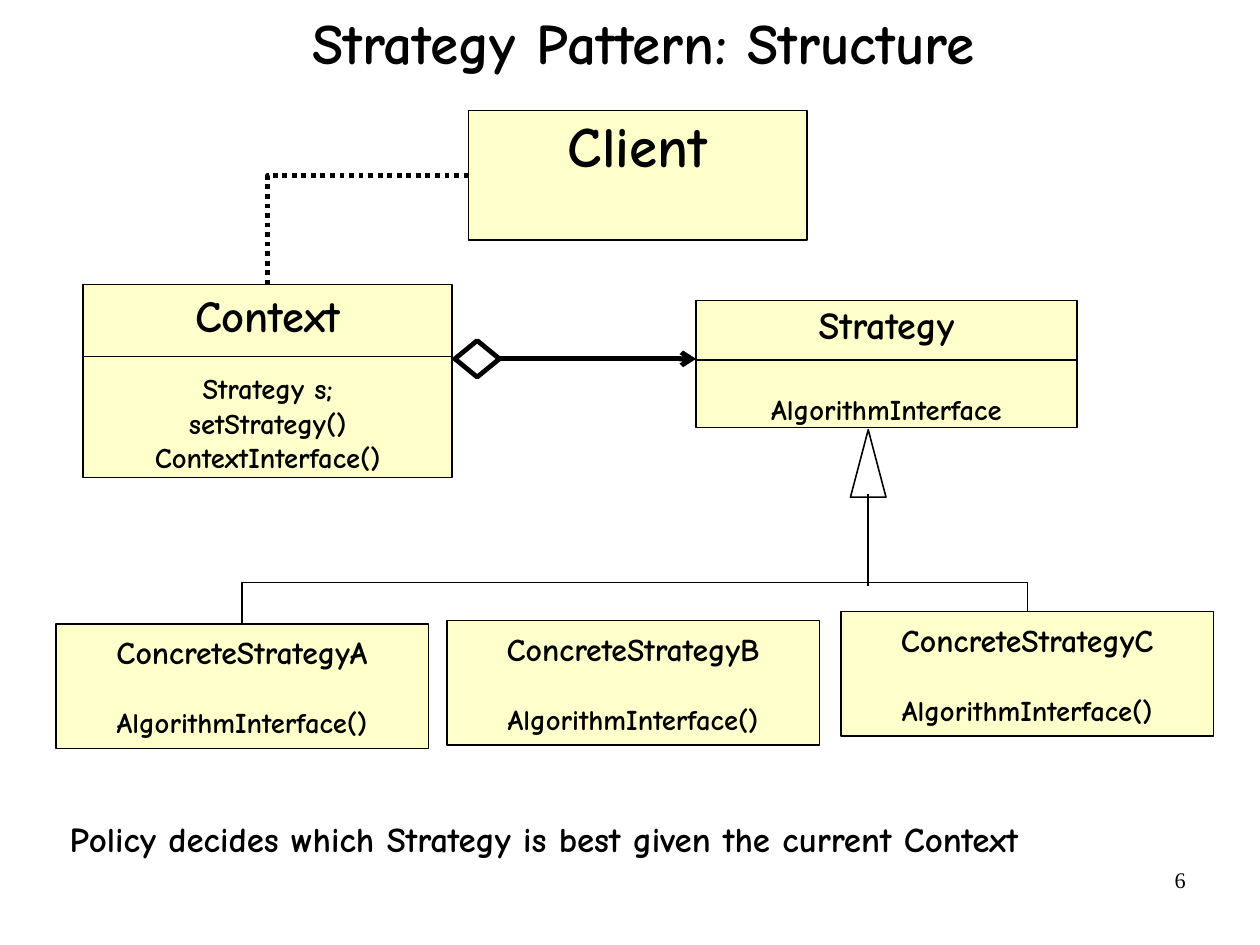
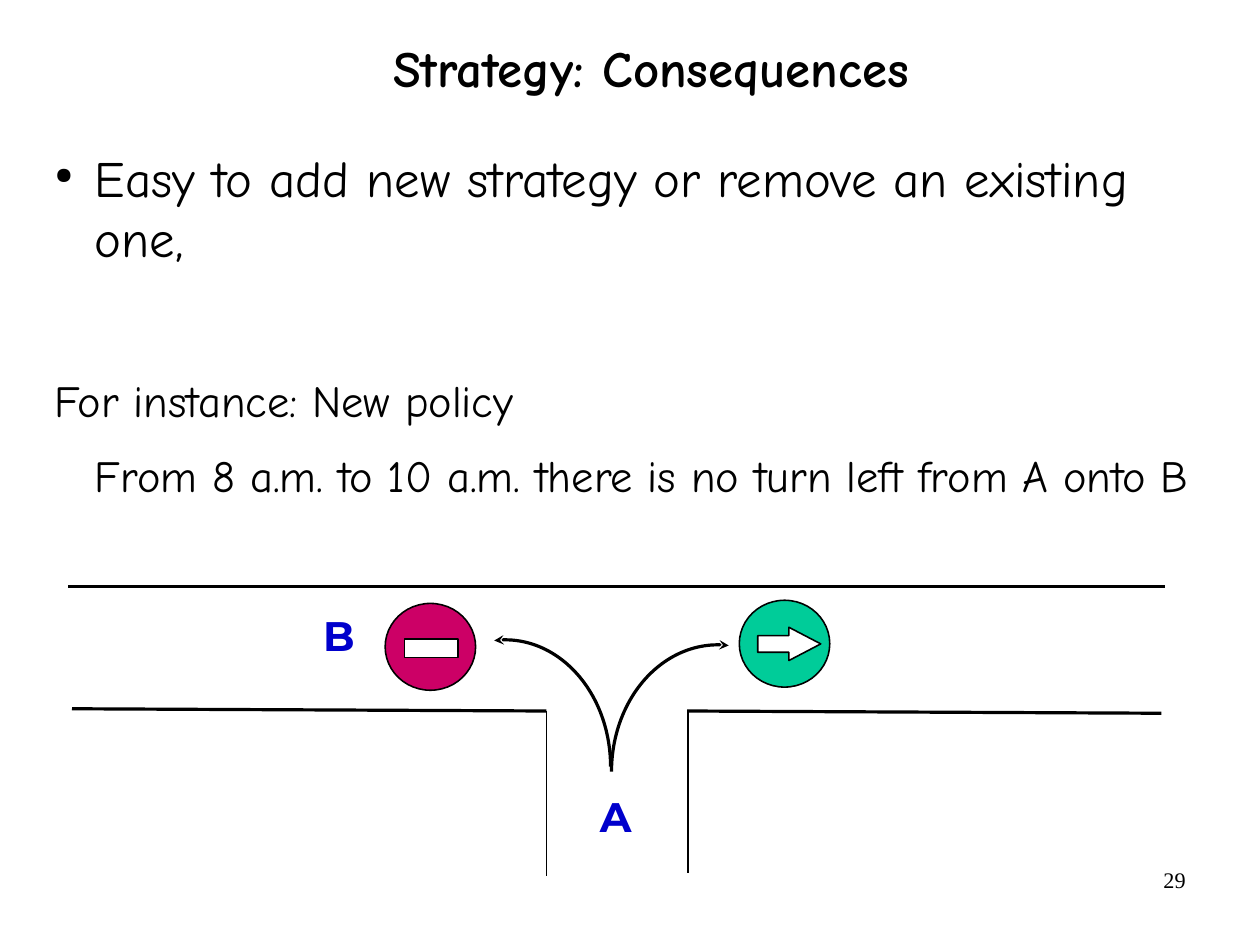
from dataclasses import dataclass

from lxml.etree import SubElement
from pptx import Presentation
from pptx.dml.color import RGBColor
from pptx.enum.dml import MSO_LINE
from pptx.enum.shapes import MSO_CONNECTOR, MSO_SHAPE
from pptx.enum.text import MSO_ANCHOR, PP_ALIGN
from pptx.oxml.ns import qn
from pptx.util import Cm, Pt


@dataclass(frozen=True)
class Theme:
    ink: str = "000000"
    paper: str = "FFFFFF"
    class_fill: str = "FFFFCC"
    stop: str = "CC0066"
    go: str = "00CC99"
    label: str = "0000CC"
    hand: str = "Comic Neue"
    sans: str = "Montserrat"
    serif: str = "Times New Roman"
    number_size: int = 14
    member_size: int = 18
    caption_size: int = 22
    label_size: int = 26
    thin: float = 1
    medium: float = 2
    thick: float = 3


THEME = Theme()
SLIDE_SIZE = (28, 21)
NUMBER_AREA = (20.07, 19.13, 6.53, 1.45)
BODY_INSETS = (0.28, 0.15)

STRUCTURE = {
    "title": "Strategy Pattern: Structure",
    "title_area": (2.36, 0, 23.88, 2.06),
    "title_size": 36,
    "number": "6",
    "caption": "Policy decides which Strategy is best given the current Context",
    "caption_area": (1.27, 18.01, 25.65, 1.22),
}
CLIENT_AREA = (10.41, 2.46, 7.52, 2.87)
CONTEXT_AREA = (1.85, 6.32, 8.2, 4.29)
STRATEGY_AREA = (15.47, 6.68, 8.46, 2.82)
CONCRETE_SIZE = (8.28, 2.77)
CONCRETE_CORNERS = {"A": (1.24, 13.87), "B": (9.93, 13.79), "C": (18.69, 13.59)}
CLASSES = [
    {"name": "Client", "size": 36, "area": CLIENT_AREA, "members": [], "gap": 0},
    {"name": "Context", "size": 28, "area": CONTEXT_AREA, "gap": 19, "divider": 7.92,
     "members": ["Strategy s;", "setStrategy()", "ContextInterface()"]},
    {"name": "Strategy", "size": 24, "area": STRATEGY_AREA, "gap": 28.5, "divider": 8,
     "members": ["AlgorithmInterface"]},
] + [
    {"name": f"ConcreteStrategy{letter}", "size": 20, "area": corner + CONCRETE_SIZE,
     "gap": 21.5, "members": ["AlgorithmInterface()"]}
    for letter, corner in CONCRETE_CORNERS.items()
]
DIAMOND_AREA = (10.11, 7.57, 0.99, 0.81)
TRIANGLE_AREA = (18.9, 9.55, 0.79, 1.5)
TREE_TOP = 12.95

CONSEQUENCES = {
    "title": "Strategy: Consequences",
    "title_area": (2.57, 0.64, 23.8, 1.9),
    "title_size": 32,
    "number": "29",
    "body_area": (0.66, 3.1, 26.47, 9.5),
}
BODY_LINES = [
    {"text": "Easy to add new strategy or remove an existing one,", "size": 32,
     "hanging": -0.89, "bullet": "●", "before": 0},
    {"text": "For instance: New policy", "size": 28, "hanging": -0.89, "before": 52},
    {"text": "From 8 a.m. to 10 a.m. there is no turn left from A onto B", "size": 28,
     "hanging": 0, "before": 0},
]
ROAD_EDGES = [
    ((1.52, 13.03), (25.88, 13.03), THEME.medium),
    ((15.27, 15.8), (25.81, 15.85), THEME.medium),
    ((1.6, 15.75), (12.14, 15.8), THEME.medium),
    ((12.14, 15.8), (12.14, 19.46), THEME.thin),
    ((15.29, 15.77), (15.29, 19.41), THEME.thin),
]
TURNS = [
    {"center": (11.23, 17.04), "radii": (2.34, 2.82), "degrees": (265, 360), "end": "headEnd"},
    {"center": (15.95, 17.15), "radii": (2.36, 2.82), "degrees": (180, 275), "end": "tailEnd"},
]
SIGNS = [
    (MSO_SHAPE.OVAL, (8.56, 13.41, 2.01, 1.93), THEME.stop, ()),
    (MSO_SHAPE.RECTANGLE, (8.99, 14.2, 1.19, 0.41), THEME.paper, ()),
    (MSO_SHAPE.OVAL, (16.43, 13.34, 2.01, 1.93), THEME.go, ()),
    (MSO_SHAPE.RIGHT_ARROW, (16.84, 13.94, 1.4, 0.74), THEME.paper, (0.5, 0.957)),
]
STREET_LABELS = [("A", (13.08, 17.45, 1, 1.8)), ("B", (6.93, 13.44, 1, 1.8))]


def lengths(values):
    return [Cm(value) for value in values]


def set_format(target, values):
    for name, value in values.items():
        setattr(target, name, value)


def set_frame(frame, insets=(0, 0), **values):
    across, down = lengths(insets)
    set_format(frame, {"margin_left": across, "margin_right": across, "margin_top": down,
                       "margin_bottom": down, "word_wrap": True, **values})


def write(para, text, size, font=THEME.hand, bold=True, color=THEME.ink, **values):
    set_format(para, values)
    span = para.add_run()
    span.text = text
    set_format(span.font, {"name": font, "size": Pt(size), "bold": bold})
    span.font.color.rgb = RGBColor.from_string(color)


def add_text(page, area, text, size, insets=(0.25, 0.13), wrap=True, **values):
    box = page.shapes.add_textbox(*lengths(area))
    set_frame(box.text_frame, insets, word_wrap=wrap)
    write(box.text_frame.paragraphs[0], text, size, **values)


def set_line(shape, width):
    shape.line.color.rgb = RGBColor.from_string(THEME.ink)
    shape.line.width = Pt(width)


def add_arrowhead(shape, end, kind):
    SubElement(shape.element.spPr.find(qn("a:ln")), qn(f"a:{end}"), type=kind)


def finish(shape, fill=None, width=THEME.thin):
    if fill:
        shape.fill.solid()
        shape.fill.fore_color.rgb = RGBColor.from_string(fill)
    else:
        shape.fill.background()
    set_line(shape, width)
    shape.shadow.inherit = False
    return shape


def add_preset(page, kind, area, fill=None, width=THEME.thin, adjustments=()):
    shape = page.shapes.add_shape(kind, *lengths(area))
    for index, value in enumerate(adjustments):
        shape.adjustments[index] = value
    return finish(shape, fill, width)


def add_line(page, start, end, width=THEME.thin, kind=MSO_CONNECTOR.STRAIGHT):
    line = page.shapes.add_connector(kind, *lengths(start + end))
    set_line(line, width)
    SubElement(line.element.spPr, qn("a:effectLst"))
    return line


def add_page(deck, content):
    page = deck.slides.add_slide(deck.slide_layouts[5])
    title = page.shapes.title
    left, top, width, height = lengths(content["title_area"])
    set_format(title, {"left": left, "top": top, "width": width, "height": height})
    set_frame(title.text_frame, vertical_anchor=MSO_ANCHOR.MIDDLE)
    write(title.text_frame.paragraphs[0], content["title"], content["title_size"],
          alignment=PP_ALIGN.CENTER, line_spacing=0.88)
    add_text(page, NUMBER_AREA, content["number"], THEME.number_size, font=THEME.serif,
             bold=False, alignment=PP_ALIGN.RIGHT)
    return page


def add_class(page, item):
    left, top, width, height = item["area"]
    box = add_preset(page, MSO_SHAPE.RECTANGLE, item["area"], THEME.class_fill)
    frame = box.text_frame
    anchor = MSO_ANCHOR.MIDDLE if item["members"] else MSO_ANCHOR.TOP
    set_frame(frame, vertical_anchor=anchor)
    write(frame.paragraphs[0], item["name"], item["size"], alignment=PP_ALIGN.CENTER)
    for index, member in enumerate(item["members"]):
        write(frame.add_paragraph(), member, THEME.member_size, alignment=PP_ALIGN.CENTER,
              space_before=Pt(0 if index else item["gap"]))
    if "divider" in item:
        add_line(page, (left, item["divider"]), (left + width, item["divider"]))


def add_tree(page):
    half = CONCRETE_SIZE[0] / 2
    (first, first_top), (last, last_top) = CONCRETE_CORNERS["A"], CONCRETE_CORNERS["C"]
    points = [(first + half, first_top), (first + half, TREE_TOP),
              (last + half, TREE_TOP), (last + half, last_top)]
    corners = [tuple(lengths(point)) for point in points]
    builder = page.shapes.build_freeform(*corners[0])
    builder.add_line_segments(corners[1:], close=False)
    finish(builder.convert_to_shape())


def build_structure(deck):
    page = add_page(deck, STRUCTURE)
    for item in CLASSES:
        add_class(page, item)

    client_left, client_top, _, client_height = CLIENT_AREA
    context_left, context_top, context_width, _ = CONTEXT_AREA
    usage = add_line(page, (client_left, client_top + client_height / 2),
                     (context_left + context_width / 2, context_top),
                     THEME.thick, MSO_CONNECTOR.ELBOW)
    usage.line.dash_style = MSO_LINE.ROUND_DOT
    usage.element.spPr.find(qn("a:prstGeom")).set("prst", "bentConnector2")

    left, top, width, height = DIAMOND_AREA
    middle = top + height / 2
    aggregation = add_line(page, (left + width, middle), (STRATEGY_AREA[0], middle), THEME.thick)
    add_arrowhead(aggregation, "tailEnd", "arrow")
    add_preset(page, MSO_SHAPE.DIAMOND, DIAMOND_AREA, THEME.paper, THEME.thick)

    left, top, width, height = TRIANGLE_AREA
    add_preset(page, MSO_SHAPE.ISOSCELES_TRIANGLE, TRIANGLE_AREA, THEME.paper)
    center = left + width / 2
    add_line(page, (center, top + height - 0.08), (center, TREE_TOP + 0.08))
    add_tree(page)
    add_text(page, STRUCTURE["caption_area"], STRUCTURE["caption"], THEME.caption_size,
             BODY_INSETS)


def add_body(page):
    frame = page.shapes.add_textbox(*lengths(CONSEQUENCES["body_area"])).text_frame
    set_frame(frame, BODY_INSETS)
    for index, line in enumerate(BODY_LINES):
        para = frame.add_paragraph() if index else frame.paragraphs[0]
        properties = para._p.get_or_add_pPr()
        properties.set("marL", str(Cm(1.17)))
        properties.set("indent", str(Cm(line["hanging"])))
        if "bullet" in line:
            SubElement(properties, qn("a:buSzPct"), val="45000")
            SubElement(properties, qn("a:buChar"), char=line["bullet"])
        write(para, line["text"], line["size"], bold=False,
              space_before=Pt(line["before"]), space_after=Pt(13.8))


def add_turn(page, turn):
    (x, y), (across, down) = turn["center"], turn["radii"]
    area = (x - across, y - down, 2 * across, 2 * down)
    angles = [degrees % 360 * 0.6 for degrees in turn["degrees"]]
    arc = add_preset(page, MSO_SHAPE.ARC, area, width=THEME.medium, adjustments=angles)
    add_arrowhead(arc, turn["end"], "stealth")


def build_consequences(deck):
    page = add_page(deck, CONSEQUENCES)
    add_body(page)
    for start, end, width in ROAD_EDGES:
        add_line(page, start, end, width)
    for turn in TURNS:
        add_turn(page, turn)
    for kind, area, fill, adjustments in SIGNS:
        add_preset(page, kind, area, fill, adjustments=adjustments)
    for text, area in STREET_LABELS:
        add_text(page, area, text, THEME.label_size, wrap=False, font=THEME.sans,
                 color=THEME.label)


def main():
    deck = Presentation()
    deck.slide_width, deck.slide_height = lengths(SLIDE_SIZE)
    build_structure(deck)
    build_consequences(deck)
    deck.save("out.pptx")


if __name__ == "__main__":
    main()
